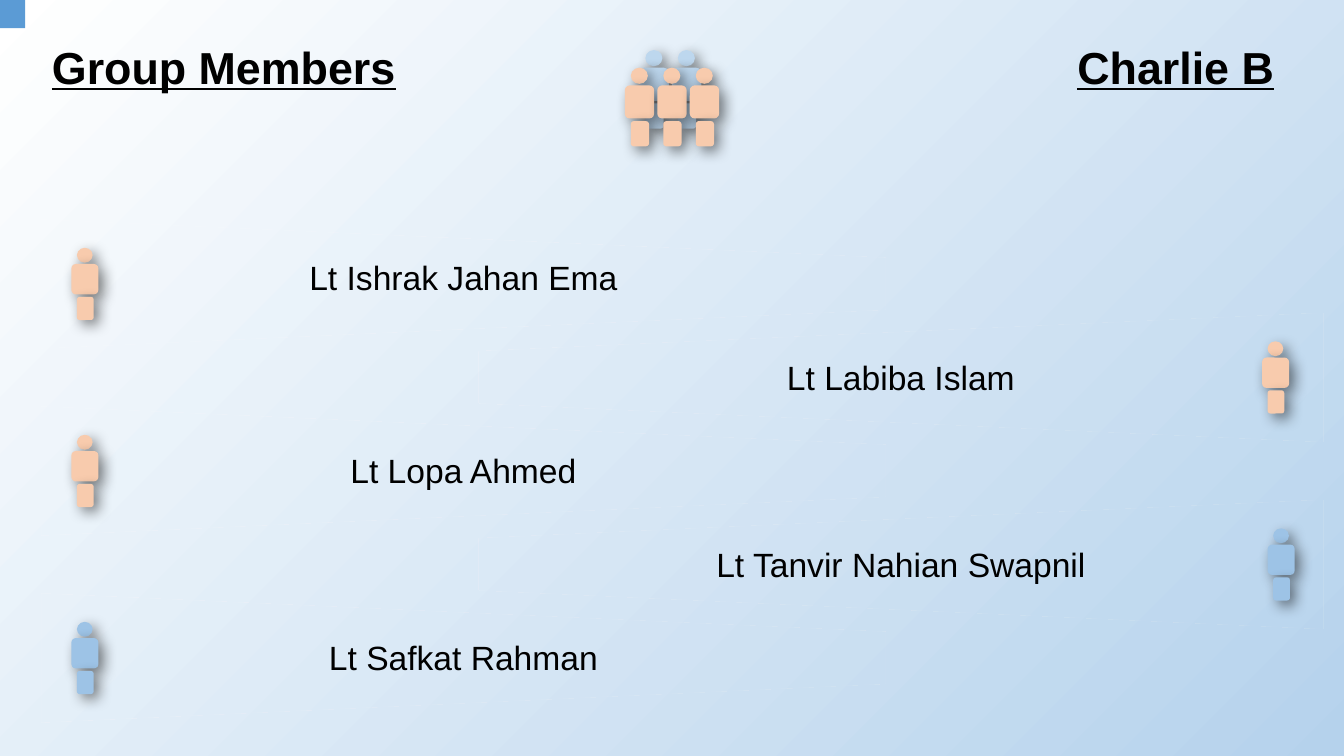
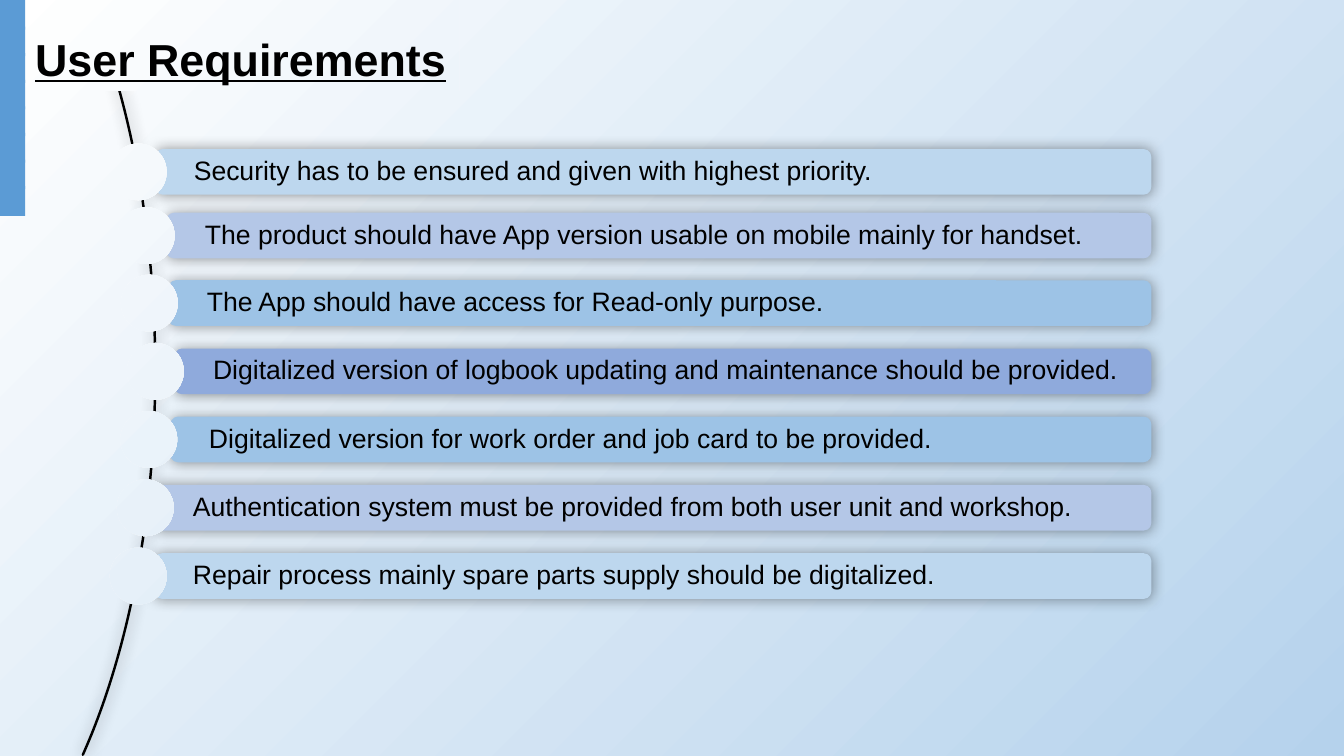
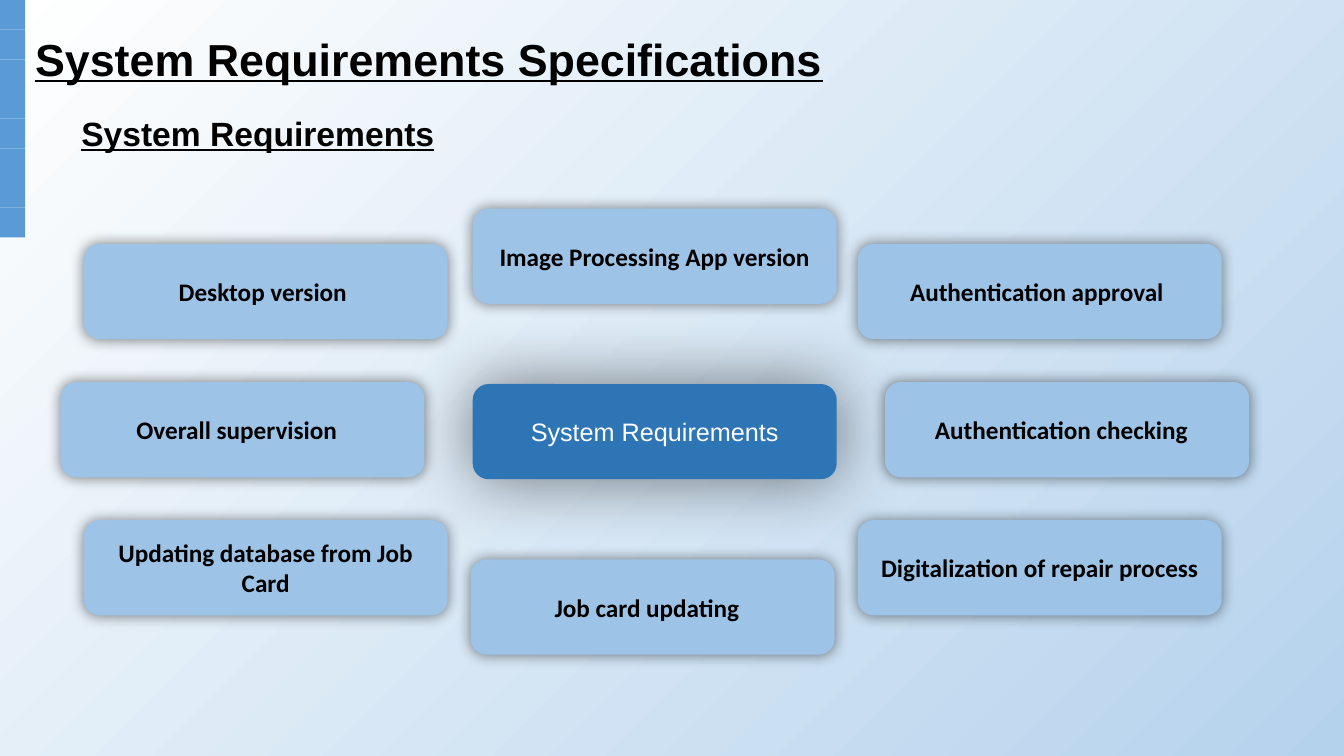
"""Build three project slides: group members, user requirements and system requirements."""
from typing import NamedTuple, Optional

from lxml import etree
from pptx import Presentation
from pptx import util as u
from pptx.dml import color
from pptx.enum import shapes, text
from pptx.oxml import ns

KIND = shapes.MSO_SHAPE
ALIGN = text.PP_ALIGN
ANCHOR = text.MSO_ANCHOR

BLACK, WHITE = "000000", "FFFFFF"
ACCENT, DEEP_BLUE = "5B9BD5", "2E75B6"
SKY, BLUE, LAVENDER, PERIWINKLE = "BDD7EE", "9DC3E6", "B4C7E7", "8FAADC"
PEACH, BG_END = "F8CBAD", "B5D2EC"


class Shadow(NamedTuple):
    opacity: int
    blur: float
    distance: float = 0
    angle: int = 0


class Box(NamedTuple):
    x: float
    y: float
    w: float
    h: float


class Font(NamedTuple):
    size: float
    bold: bool = False
    underline: bool = False
    colour: str = BLACK
    name: str = "Arial"


class Member(NamedTuple):
    name: str
    text_y: float
    figure_x: float
    colour: str


class Bar(NamedTuple):
    label: str
    x: float
    y: float
    dot_x: float
    colour: str


class Card(NamedTuple):
    label: str
    x: float
    y: float
    pad: float = 0


TITLE = Font(32, True, True)
SUBTITLE = Font(24, True, True)
NAME = Font(24)
BAR_FONT = Font(19)
CARD_FONT = Font(18, True, name="Calibri")
HUB_FONT = Font(18, colour=WHITE)

WEDGE_SHADOW = Shadow(40, 5)
BAR_SHADOW = Shadow(40, 10)
CARD_SHADOW = Shadow(50, 10)
HUB_SHADOW = Shadow(50, 48)
FIGURE_SHADOW = Shadow(50, 10, 5, 45)

MEMBERS = [
    Member("Lt Ishrak Jahan Ema", 180, 51, PEACH),
    Member("Lt Labiba Islam", 251.3, 901.5, PEACH),
    Member("Lt Lopa Ahmed", 318.2, 51, PEACH),
    Member("Lt Tanvir Nahian Swapnil", 385.2, 905.5, BLUE),
    Member("Lt Safkat Rahman", 451.4, 51, BLUE),
]
BARS = [
    Bar("Security has to be ensured and given with highest priority.", 110.9, 106.5, 78.5, SKY),
    Bar("The product should have App version usable on mobile mainly for handset.",
        118.8, 152, 84.2, LAVENDER),
    Bar("The App should have access for Read-only purpose.", 120.2, 200.2, 86.4, BLUE),
    Bar("Digitalized version of logbook updating and maintenance should be provided.",
        124.6, 249, 90.7, PERIWINKLE),
    Bar("Digitalized version for work order and job card to be provided.", 121.7, 297.6, 86, BLUE),
    Bar("Authentication system must be provided from both user unit and workshop.",
        110.2, 346.4, 83.5, LAVENDER),
    Bar("Repair process mainly spare parts supply should be digitalized.", 110.2, 395.2, 78.5, SKY),
]
CARDS = [
    Card("Desktop version", 59.8, 174.2, 4),
    Card("Image Processing App version", 337.7, 149),
    Card("Authentication approval", 612.7, 174.2, 4),
    Card("Overall supervision", 43.2, 272.9, 8),
    Card("Authentication checking", 632.2, 272.9, 8),
    Card("Updating database from Job Card", 59.8, 371.5),
    Card("Job card updating", 336.2, 399.6, 8),
    Card("Digitalization of repair process", 612.7, 371.5),
]
BAR_RIGHT, BAR_H, DOT = 822.4, 32.6, 40.6
CARD_W, CARD_H = 260, 68
TICK_W, TICK_H = 18, 21.2


def rgb(value: str) -> color.RGBColor:
    return color.RGBColor.from_string(value)


def finish(sp, fill: Optional[str], shadow: Optional[Shadow] = None):
    """Style a shape; without a fill it shows the slide background."""
    if fill:
        sp.fill.solid()
        sp.fill.fore_color.rgb = rgb(fill)
    else:
        sp.element.set("useBgFill", "1")
    sp.line.fill.background()
    sp.shadow.inherit = False
    if shadow:
        effects = sp.element.spPr.find(ns.qn("a:effectLst"))
        outer = etree.SubElement(
            effects, ns.qn("a:outerShdw"), blurRad=str(u.Pt(shadow.blur)),
            dist=str(u.Pt(shadow.distance)), dir=str(shadow.angle * 60000),
            algn="ctr", rotWithShape="0")
        tone = etree.SubElement(outer, ns.qn("a:srgbClr"), val=BLACK)
        etree.SubElement(tone, ns.qn("a:alpha"), val=str(shadow.opacity * 1000))
    return sp


def add_shape(s, kind, box: Box, fill: Optional[str], shadow: Optional[Shadow] = None):
    return finish(s.shapes.add_shape(kind, *map(u.Pt, box)), fill, shadow)


def write(sp, label: str, font: Font, align=ALIGN.LEFT, anchor=ANCHOR.TOP):
    tf = sp.text_frame
    tf.text = label
    tf.word_wrap = True
    tf.vertical_anchor = anchor
    p = tf.paragraphs[0]
    p.alignment = align
    r = p.runs[0]
    r.font.name, r.font.size = font.name, u.Pt(font.size)
    r.font.bold, r.font.underline = font.bold, font.underline
    r.font.color.rgb = rgb(font.colour)
    return tf


def add_text(s, box: Box, label: str, font: Font, align=ALIGN.LEFT) -> None:
    tf = write(s.shapes.add_textbox(*map(u.Pt, box)), label, font, align)
    tf.auto_size = text.MSO_AUTO_SIZE.SHAPE_TO_FIT_TEXT


def add_title(s, label: str, width: float) -> None:
    sp = add_shape(s, KIND.RECTANGLE, Box(TICK_W, 0, width, 64.5), None)
    write(sp, label, TITLE, anchor=ANCHOR.BOTTOM)


def add_ticks(s, count: int, step: float = TICK_H, top: float = 0) -> None:
    for i in range(count):
        add_shape(s, KIND.RECTANGLE, Box(0, top + i * step, TICK_W, TICK_H), ACCENT)


def add_figure(s, x: float, y: float, fill: str, scale: float = 1) -> None:
    parts = [
        (KIND.OVAL, Box(4.3, 0, 12.2, 11.5)),
        (KIND.ROUNDED_RECTANGLE, Box(0, 12.6, 21, 23.6)),
        (KIND.ROUNDED_RECTANGLE, Box(4.3, 38.1, 13, 18)),
    ]
    for kind, part in parts:
        px, py, w, h = (v * scale for v in part)
        add_shape(s, kind, Box(x + px, y + py, w, h), fill, FIGURE_SHADOW)


def add_wedge(s, outer: float, inner: float, y: float) -> None:
    points = [(outer, y), (inner, y + 27.4), (inner, y + 64.4), (outer, y + 92)]
    start, *rest = [(u.Pt(px), u.Pt(py)) for px, py in points]
    builder = s.shapes.build_freeform(*start)
    builder.add_line_segments(rest, close=True)
    finish(builder.convert_to_shape(), None, WEDGE_SHADOW)


def new_slide(prs):
    s = prs.slides.add_slide(prs.slide_layouts[6])
    fill = s.background.fill
    fill.gradient()
    fill.gradient_angle = 315
    for stop, value in zip(fill.gradient_stops, (WHITE, BG_END)):
        stop.color.rgb = rgb(value)
    return s


def members_slide(prs) -> None:
    s = new_slide(prs)
    for i, member in enumerate(MEMBERS):
        left, right = (29.5, 632.5) if i % 2 == 0 else (342, 945)
        outer, inner = (left, right) if i % 2 == 0 else (right, left)
        add_wedge(s, outer, inner, 156.8 + i * 66.8)
        add_text(s, Box(left, member.text_y, 603, 36), member.name, NAME, ALIGN.CENTER)
    add_text(s, Box(30, 24.5, 306, 46), "Group Members", TITLE)
    add_text(s, Box(611.3, 24.5, 306, 46), "Charlie B", TITLE, ALIGN.RIGHT)
    for i, member in enumerate(MEMBERS):
        add_figure(s, member.figure_x, 177 + i * 66.8, member.colour, 0.92)
    for x, y, count, fill in ((456.7, 35.8, 2, SKY), (446.3, 48.4, 3, PEACH)):
        for i in range(count):
            add_figure(s, x + i * 23.2, y, fill)
    add_ticks(s, 1, top=-1)


def user_slide(prs) -> None:
    s = new_slide(prs)
    for bar in BARS:
        box = Box(bar.x, bar.y, BAR_RIGHT - bar.x, BAR_H)
        sp = add_shape(s, KIND.ROUNDED_RECTANGLE, box, bar.colour, BAR_SHADOW)
        tf = write(sp, bar.label, BAR_FONT, anchor=ANCHOR.MIDDLE)
        tf.margin_left = u.Pt(26)
        tf.margin_top = tf.margin_right = tf.margin_bottom = u.Pt(2)
        tf.paragraphs[0].line_spacing = 0.9
    add_shape(s, KIND.RECTANGLE, Box(0, 65, 98.6, 431), None)
    arc = add_shape(s, KIND.BLOCK_ARC, Box(-281.5, -140.4, 392.4, 810.7), ACCENT, BAR_SHADOW)
    for i, value in enumerate((179.611, 37.331, 0)):
        arc.adjustments[i] = value
    arc.line.color.rgb = rgb(BLACK)
    arc.line.width = u.Pt(1.75)
    for bar in BARS:
        add_shape(s, KIND.OVAL, Box(bar.dot_x, bar.y - 4, DOT, DOT), None, CARD_SHADOW)
    add_title(s, "User Requirements", 310)
    add_ticks(s, 8, step=19)


def system_slide(prs) -> None:
    s = new_slide(prs)
    add_title(s, "System Requirements Specifications", 582)
    add_text(s, Box(51, 77, 277, 36), "System Requirements", SUBTITLE)
    hub = add_shape(s, KIND.ROUNDED_RECTANGLE, Box(337.7, 274.3, CARD_W, CARD_H),
                    DEEP_BLUE, HUB_SHADOW)
    write(hub, "System Requirements", HUB_FONT, ALIGN.CENTER, ANCHOR.MIDDLE)
    for card in CARDS:
        sp = add_shape(s, KIND.ROUNDED_RECTANGLE, Box(card.x, card.y, CARD_W, CARD_H),
                       BLUE, CARD_SHADOW)
        tf = write(sp, card.label, CARD_FONT, ALIGN.CENTER, ANCHOR.MIDDLE)
        tf.margin_right = u.Pt(7.2 + card.pad)
    add_ticks(s, 8)


def main() -> None:
    prs = Presentation()
    prs.slide_width, prs.slide_height = u.Pt(960), u.Pt(540)
    members_slide(prs)
    user_slide(prs)
    system_slide(prs)
    prs.save("out.pptx")


main()
